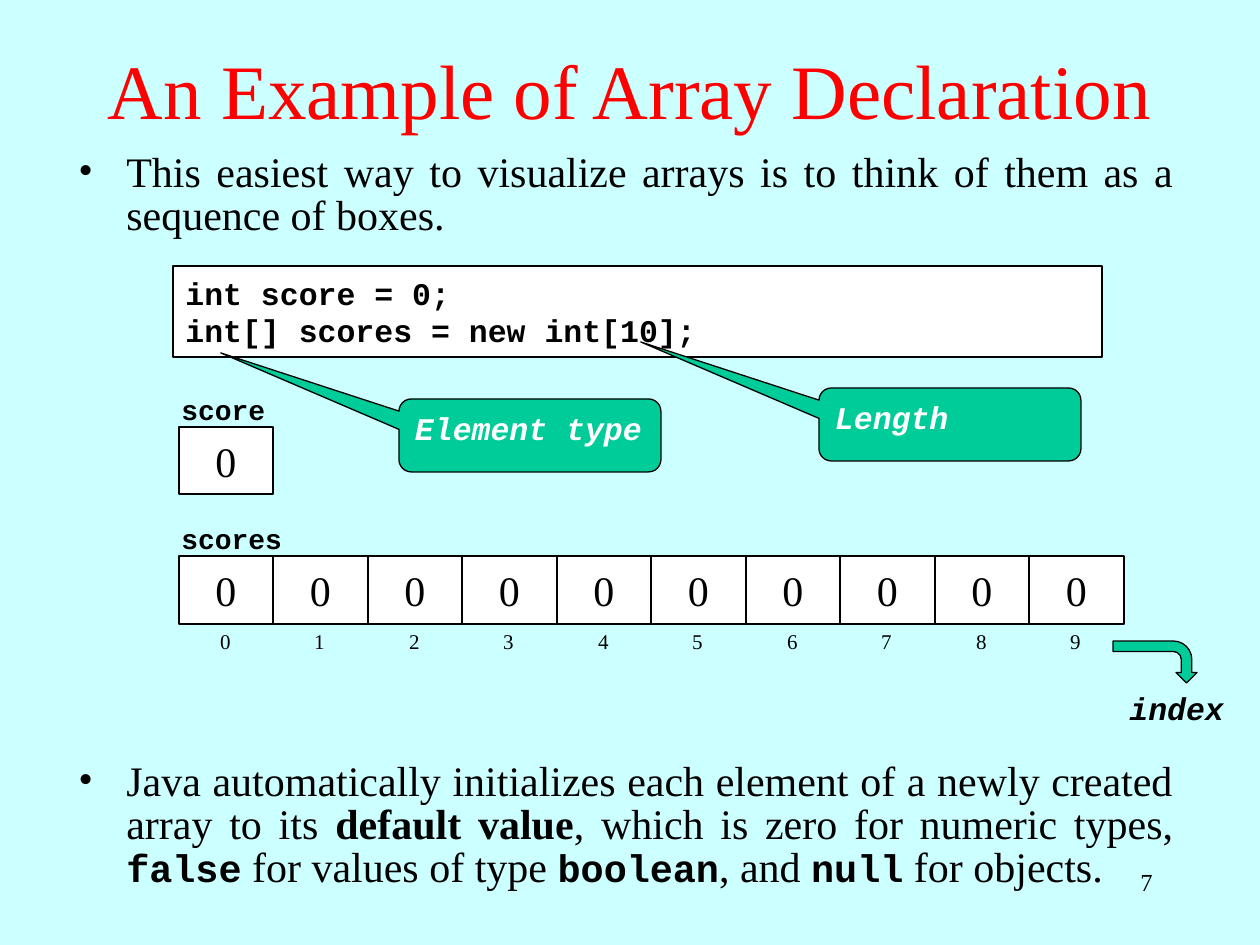
from dataclasses import dataclass

from lxml.etree import SubElement
from pptx import Presentation
from pptx.dml.color import RGBColor
from pptx.enum.shapes import MSO_SHAPE
from pptx.enum.text import MSO_ANCHOR, PP_ALIGN
from pptx.oxml.ns import qn
from pptx.slide import Slide
from pptx.util import Emu, Pt

PX = 914400 / 126


def px(length):
    return Emu(round(length * PX))


def color(value):
    return RGBColor.from_string(value)


def add_bullet(paragraph, indent, font):
    properties = paragraph._p.get_or_add_pPr()
    properties.set("marL", str(px(indent)))
    properties.set("indent", str(px(-indent)))
    SubElement(properties, qn("a:buFont")).set("typeface", font)
    SubElement(properties, qn("a:buChar")).set("char", "•")


def write(shape, *lines, size=24, font="Times New Roman", ink="000000",
          bold=False, italic=False, align=PP_ALIGN.LEFT, anchor=MSO_ANCHOR.TOP,
          wrap=True, spacing=None, after=None, bullet_indent=0):
    frame = shape.text_frame
    frame.word_wrap = wrap
    frame.vertical_anchor = anchor
    for number, line in enumerate(lines):
        paragraph = frame.add_paragraph() if number else frame.paragraphs[0]
        paragraph.alignment = align
        if spacing:
            paragraph.line_spacing = spacing
        if after:
            paragraph.space_after = Pt(after)
        if bullet_indent:
            add_bullet(paragraph, bullet_indent, font)
        pieces = [(line, {})] if isinstance(line, str) else line
        for text, changes in pieces:
            run = paragraph.add_run()
            run.text = text
            run.font.size = Pt(changes.get("size", size))
            run.font.name = changes.get("font", font)
            run.font.bold = changes.get("bold", bold)
            run.font.italic = italic
            run.font.color.rgb = color(ink)


@dataclass
class ArraySlide:
    slide: Slide
    code_font: str = "Courier New"
    ink: str = "000000"
    paper: str = "FFFFFF"
    accent: str = "00CC99"

    def background(self, fill):
        self.slide.background.fill.solid()
        self.slide.background.fill.fore_color.rgb = color(fill)

    def text(self, left, top, width, height, *lines, **style):
        box = self.slide.shapes.add_textbox(px(left), px(top), px(width), px(height))
        write(box, *lines, **style)

    def shape(self, kind, left, top, width, height, fill):
        shape = self.slide.shapes.add_shape(
            kind, px(left), px(top), px(width), px(height))
        shape.shadow.inherit = False
        shape.fill.solid()
        shape.fill.fore_color.rgb = color(fill)
        shape.line.color.rgb = color(self.ink)
        shape.line.width = Pt(0.75)
        return shape

    def bullet(self, top, height, line):
        self.text(66, top, 1120, height, line, align=PP_ALIGN.JUSTIFY,
                  spacing=0.85, after=6, bullet_indent=48)

    def code(self, left, top, width, height, *lines):
        box = self.shape(MSO_SHAPE.RECTANGLE, left, top, width, height, self.paper)
        write(box, *lines, size=18, font=self.code_font, bold=True,
              anchor=MSO_ANCHOR.MIDDLE)

    def cell(self, left, top, width, height, value):
        box = self.shape(MSO_SHAPE.RECTANGLE, left, top, width, height, self.paper)
        write(box, value, align=PP_ALIGN.CENTER, anchor=MSO_ANCHOR.MIDDLE, wrap=False)

    def variable_name(self, top, name):
        self.text(169, top, 128, 43, name, size=16, font=self.code_font,
                  bold=True, spacing=0.9)

    def callout(self, left, top, label):
        box = self.shape(MSO_SHAPE.ROUNDED_RECTANGULAR_CALLOUT,
                         left, top, 262, 73, self.accent)
        for number, value in enumerate((-1.18, -1.13, 0.17)):
            box.adjustments[number] = value
        write(box, label, size=18, font=self.code_font, ink=self.paper,
              bold=True, italic=True)

    def bent_arrow(self, left, top, width, height):
        arrow = self.shape(MSO_SHAPE.BENT_ARROW, left, top, width, height, self.accent)
        arrow.rotation = 90


def main():
    presentation = Presentation()
    presentation.slide_width = px(1260)
    presentation.slide_height = px(945)
    page = ArraySlide(presentation.slides.add_slide(presentation.slide_layouts[6]))
    page.background("CCFFFF")

    page.text(0, 10, 1260, 158, "An Example of Array Declaration", size=44,
              ink="FF0000", align=PP_ALIGN.CENTER, anchor=MSO_ANCHOR.MIDDLE)
    page.code(173, 266, 929, 91, "int score = 0;", "int[] scores = new int[10];")
    page.bullet(147, 116, "This easiest way to visualize arrays is to think of them "
                          "as a sequence of boxes.")

    array_left, array_width, count = 179, 945, 10
    edges = [array_left + array_width * i // count for i in range(count + 1)]
    for index, (left, right) in enumerate(zip(edges, edges[1:])):
        page.cell(left, 556, right - left, 68, "0")
        page.text(left + 10, 622, 73, 38, str(index), size=12, align=PP_ALIGN.CENTER)
    page.variable_name(519, "scores")

    code = {"size": 22, "font": page.code_font, "bold": True}
    page.bullet(756, 145, [
        ("Java automatically initializes each element of a newly created "
         "array to its ", {}),
        ("default value", {"bold": True}),
        (", which is zero for numeric types, ", {}),
        ("false", code),
        (" for values of type ", {}),
        ("boolean", code),
        (", and ", {}),
        ("null", code),
        (" for objects.", {}),
    ])

    page.cell(edges[0], 427, edges[1] - edges[0], 67, "0")
    page.variable_name(390, "score")
    page.callout(399, 399, "Element type")
    page.callout(819, 388, "Length")
    page.text(1117, 683, 122, 50, "index", size=18, font=page.code_font,
              bold=True, italic=True)
    page.bent_arrow(1134, 620, 42, 84)
    page.text(903, 861, 262, 63, "7", size=14, align=PP_ALIGN.RIGHT)

    presentation.save("out.pptx")


if __name__ == "__main__":
    main()
